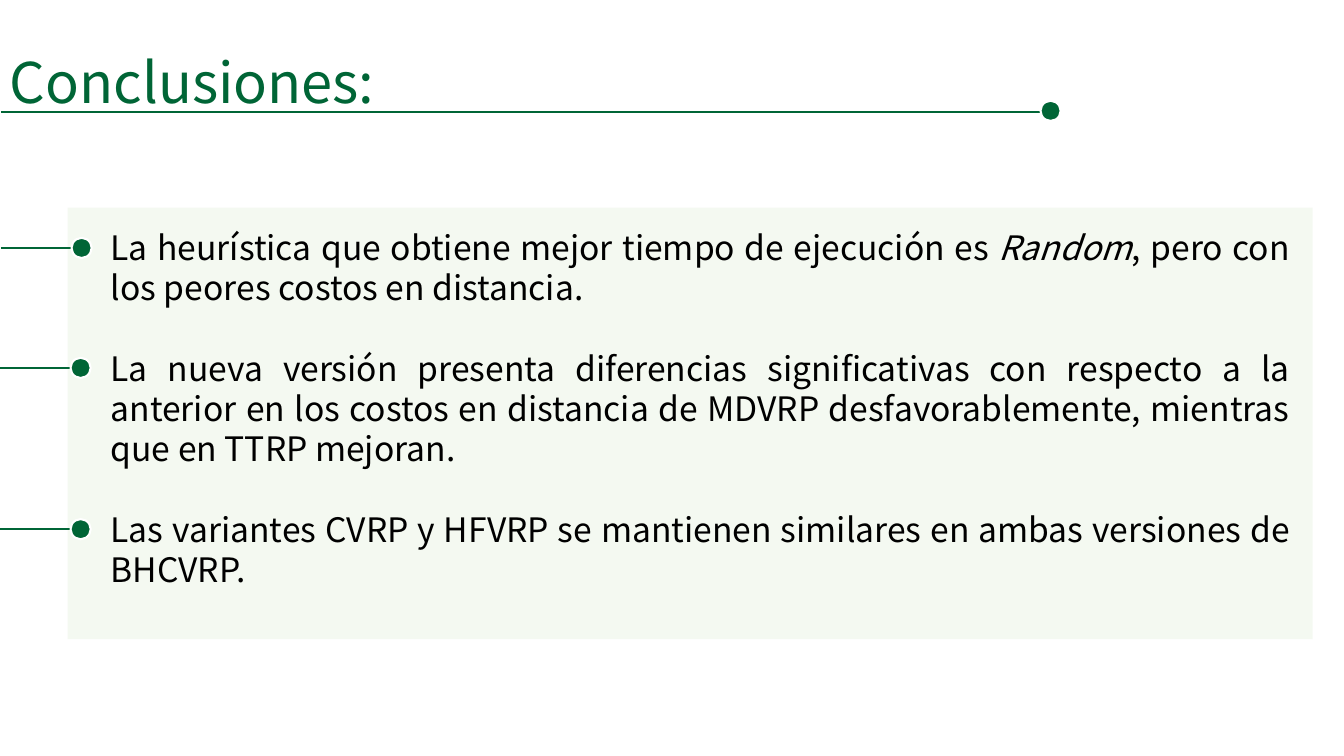
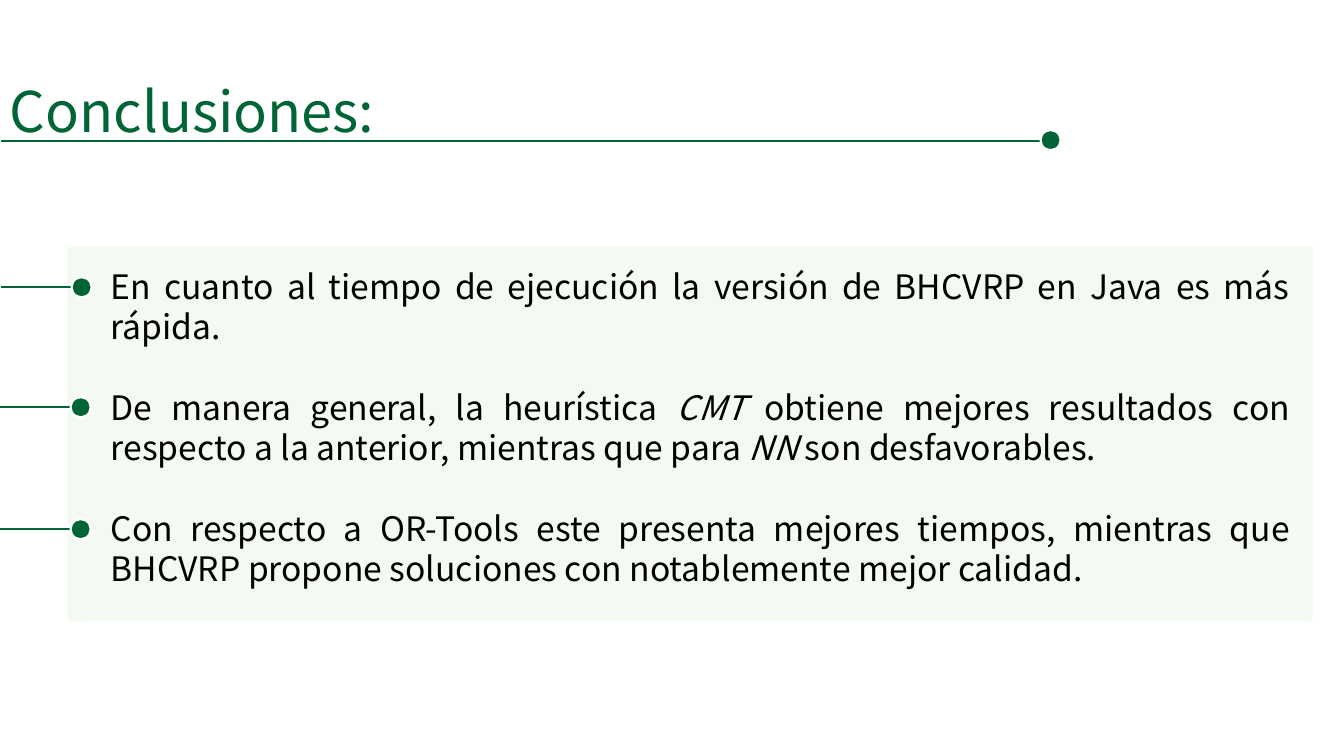
from lxml import etree
from pptx import Presentation
from pptx.dml.color import RGBColor
from pptx.enum.shapes import MSO_CONNECTOR, MSO_SHAPE
from pptx.enum.text import MSO_AUTO_SIZE, PP_ALIGN
from pptx.oxml.ns import qn
from pptx.util import Inches, Pt

STRAIGHT = MSO_CONNECTOR.STRAIGHT
RECTANGLE = MSO_SHAPE.RECTANGLE
OVAL = MSO_SHAPE.OVAL
GROW = MSO_AUTO_SIZE.SHAPE_TO_FIT_TEXT
JUSTIFY = PP_ALIGN.JUSTIFY

COLORS = {"green": "006536", "panel": "A9D18E", "white": "FFFFFF", "text": "000000"}
FONT = "Noto Sans CJK JP"
DOT = 0.2
LINE_WIDTH = Pt(1.5)
PARAGRAPH_GAP = Pt(28.8)

SLIDES = [
    {
        "title_top": 0.42,
        "panel_top": 2.06,
        "panel_height": 4.28,
        "marker_ys": [2.46, 3.65, 5.25],
        "points": [
            "La heurística que obtiene mejor tiempo de ejecución es *Random*, "
            "pero con los peores costos en distancia.",
            "La nueva versión presenta diferencias significativas con respecto a la "
            "anterior en los costos en distancia de MDVRP desfavorablemente, "
            "mientras que en TTRP mejoran.",
            "Las variantes CVRP y HFVRP se mantienen similares en ambas versiones "
            "de BHCVRP.",
        ],
    },
    {
        "title_top": 0.71,
        "panel_top": 2.45,
        "panel_height": 3.71,
        "marker_ys": [2.85, 4.04, 5.25],
        "points": [
            "En cuanto al tiempo de ejecución la versión de BHCVRP en Java es más rápida.",
            "De manera general, la heurística *CMT* obtiene mejores resultados con "
            "respecto a la anterior, mientras que para *NN* son desfavorables.",
            "Con respecto a OR-Tools este presenta mejores tiempos, mientras que "
            "BHCVRP propone soluciones con notablemente mejor calidad.",
        ],
    },
]


def rgb(name):
    return RGBColor.from_string(COLORS[name])


def style_font(font, size, color):
    font.name = FONT
    font.size = Pt(size)
    font.color.rgb = rgb(color)


def add_panel(s, top, height):
    panel = s.shapes.add_shape(
        RECTANGLE, Inches(0.67), Inches(top), Inches(12.35), Inches(height))
    panel.shadow.inherit = False
    panel.fill.solid()
    panel.fill.fore_color.rgb = rgb("panel")
    panel.line.fill.background()
    color = panel.fill._xPr.find(qn("a:solidFill"))[0]
    etree.SubElement(color, qn("a:alpha")).set("val", "12000")


def add_dotted_line(shapes, left, right, y, dot_top):
    line = shapes.add_connector(
        STRAIGHT, Inches(left), Inches(y), Inches(right), Inches(y))
    line.line.color.rgb = rgb("green")
    line.line.width = LINE_WIDTH
    etree.SubElement(line._element.spPr, qn("a:effectLst"))
    dot = shapes.add_shape(
        OVAL, Inches(right - 0.08), Inches(dot_top), Inches(DOT), Inches(DOT))
    dot.shadow.inherit = False
    dot.fill.solid()
    dot.fill.fore_color.rgb = rgb("green")
    dot.line.color.rgb = rgb("white")
    dot.line.width = LINE_WIDTH


def add_text_box(s, left, top, width, height, wrap):
    tf = s.shapes.add_textbox(
        Inches(left), Inches(top), Inches(width), Inches(height)).text_frame
    tf.word_wrap = wrap
    tf.auto_size = GROW
    return tf


def add_title(s, top):
    tf = add_text_box(s, 0, top, 3.82, 0.77, False)
    tf.text = "Conclusiones:"
    style_font(tf.paragraphs[0].runs[0].font, 40, "green")
    add_dotted_line(s.shapes, 0.01, 10.4, top + 0.69, top + 0.58)


def add_points(s, top, points):
    tf = add_text_box(s, 1, top, 11.89, 4.14, True)
    for i, point in enumerate(points):
        p = tf.add_paragraph() if i else tf.paragraphs[0]
        p.alignment = JUSTIFY
        if i:
            p.space_before = PARAGRAPH_GAP
        for j, part in enumerate(point.split("*")):
            r = p.add_run()
            r.text = part
            style_font(r.font, 24, "text")
            r.font.italic = j % 2 == 1


def add_markers(s, ys):
    for i, y in enumerate(ys):
        left = 0 if i else 0.01
        group = s.shapes.add_group_shape()
        add_dotted_line(group.shapes, left, left + 0.78, y, y - DOT / 2)


def add_conclusions(prs, content):
    s = prs.slides.add_slide(prs.slide_layouts[6])
    add_panel(s, content["panel_top"], content["panel_height"])
    add_title(s, content["title_top"])
    add_points(s, content["panel_top"] + 0.14, content["points"])
    add_markers(s, content["marker_ys"])


def main():
    prs = Presentation()
    prs.slide_width = Inches(13.33)
    prs.slide_height = Inches(7.5)
    for content in SLIDES:
        add_conclusions(prs, content)
    prs.save("out.pptx")


if __name__ == "__main__":
    main()
